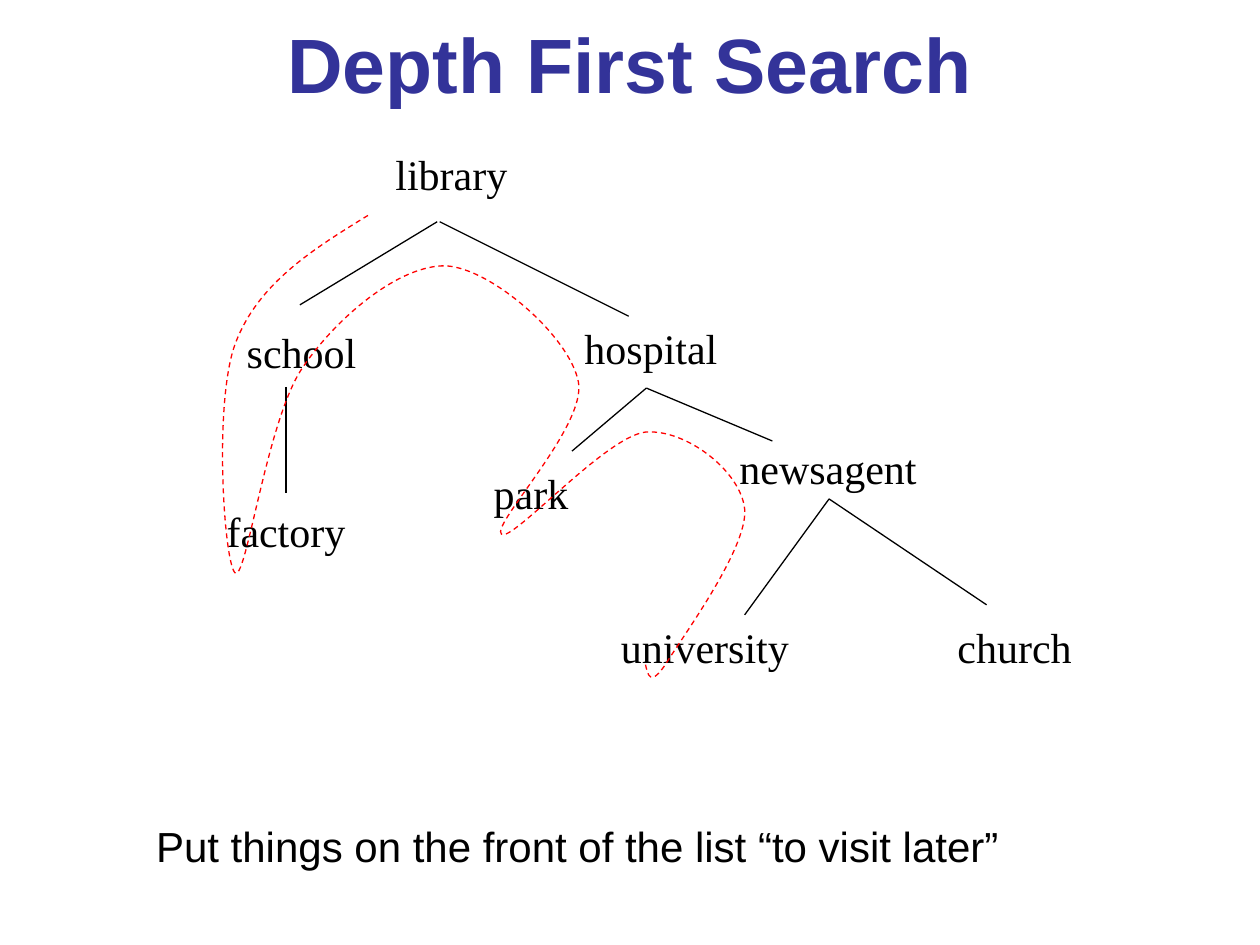
from lxml import etree
from pptx import Presentation
from pptx.dml.color import RGBColor
from pptx.enum.dml import MSO_LINE
from pptx.enum.shapes import MSO_CONNECTOR
from pptx.enum.text import MSO_ANCHOR, MSO_AUTO_SIZE, PP_ALIGN
from pptx.oxml.ns import qn
from pptx.util import Inches, Pt

STRAIGHT = MSO_CONNECTOR.STRAIGHT
DASH = MSO_LINE.DASH
MIDDLE, CENTER = MSO_ANCHOR.MIDDLE, PP_ALIGN.CENTER
FIT_SHAPE, FIXED_SIZE = MSO_AUTO_SIZE.SHAPE_TO_FIT_TEXT, MSO_AUTO_SIZE.NONE
BOTTOM_SITE = 2

NAVY = RGBColor(0x33, 0x33, 0x99)
BLACK = RGBColor(0x00, 0x00, 0x00)
RED = RGBColor(0xFF, 0x00, 0x00)

TITLE = "Depth First Search"
NOTE = "Put things on the front of the list “to visit later”"
TITLE_FONT = {"name": "Arial", "size": Pt(44), "bold": True}
NODE_FONT = {"name": "Times New Roman", "size": Pt(24)}
NOTE_FONT = {"name": "Arial", "size": Pt(24)}
LINE_WIDTH = Pt(0.75)
ROW_HEIGHT = 0.5

# Place name: left, top, width (wide enough to hold the name on one line)
NODES = {
    "library": (3.04, 1.13, 1.11),
    "school": (1.86, 2.54, 1.09),
    "hospital": (4.54, 2.51, 1.27),
    "factory": (1.7, 3.96, 1.16),
    "park": (3.82, 3.66, 0.81),
    "newsagent": (5.77, 3.46, 1.62),
    "university": (4.83, 4.88, 1.55),
    "church": (7.5, 4.88, 1.12),
}

# Parent, start of branch, end of branch
BRANCHES = [
    ("library", (3.47, 1.76), (2.38, 2.42)),
    ("library", (3.49, 1.76), (4.99, 2.51)),
    ("school", (2.27, 3.07), (2.27, 3.91)),
    ("hospital", (5.13, 3.08), (4.54, 3.58)),
    ("hospital", (5.13, 3.08), (6.13, 3.5)),
    ("newsagent", (6.58, 3.96), (5.91, 4.88)),
    ("newsagent", (6.58, 3.96), (7.83, 4.8)),
]
JOINED_PARENTS = {"newsagent"}  # branches start at the middle of its lower side

# Search route: start, then two control points and an end for each curve
ROUTE_START = (2.92, 1.71)
ROUTE_CURVES = [
    ((2.48, 1.98), (2.05, 2.25), (1.87, 2.72)),
    ((1.69, 3.19), (1.78, 4.51), (1.87, 4.55)),
    ((1.96, 4.58), (2.12, 3.33), (2.4, 2.92)),
    ((2.67, 2.52), (3.17, 2.1), (3.54, 2.11)),
    ((3.9, 2.13), (4.52, 2.67), (4.59, 3.03)),
    ((4.66, 3.38), (3.89, 4.17), (3.98, 4.24)),
    ((4.06, 4.31), (4.8, 3.47), (5.12, 3.43)),
    ((5.44, 3.4), (5.88, 3.74), (5.91, 4.04)),
    ((5.94, 4.34), (5.42, 5.05), (5.29, 5.26)),
    ((5.16, 5.46), (5.14, 5.36), (5.12, 5.26)),
]


def inches(values):
    return [Inches(value) for value in values]


def add_text(slide, text, box, font, color=BLACK, wrap=True):
    label = slide.shapes.add_textbox(*inches(box))
    frame = label.text_frame
    frame.word_wrap = wrap
    frame.auto_size = FIT_SHAPE
    run = frame.paragraphs[0].add_run()
    run.text = text
    for key, value in font.items():
        setattr(run.font, key, value)
    run.font.color.rgb = color
    return label


def add_branch(slide, start, end, parent=None):
    branch = slide.shapes.add_connector(STRAIGHT, *inches(start + end))
    if parent is not None:
        branch.begin_connect(parent, BOTTOM_SITE)
    branch.line.color.rgb = BLACK
    branch.line.width = LINE_WIDTH
    etree.SubElement(branch._element.spPr, qn("a:effectLst"))


def add_route(slide, start, curves):
    builder = slide.shapes.build_freeform(*inches(start))
    points = [inches(point) for curve in curves for point in curve]
    builder.add_line_segments(points, close=False)
    route = builder.convert_to_shape()

    # Turn each three line segments into one Bézier curve
    outline = route._element.spPr.find(".//" + qn("a:path"))
    segments = outline.findall(qn("a:lnTo"))
    for i in range(0, len(segments), 3):
        curve = etree.SubElement(outline, qn("a:cubicBezTo"))
        for segment in segments[i:i + 3]:
            curve.append(segment[0])
            outline.remove(segment)

    route.shadow.inherit = False
    route.fill.background()
    route.line.color.rgb = RED
    route.line.width = LINE_WIDTH
    route.line.dash_style = DASH


def main():
    prs = Presentation()
    prs.slide_width, prs.slide_height = Inches(10), Inches(7.5)
    slide = prs.slides.add_slide(prs.slide_layouts[6])

    # Title
    title = add_text(slide, TITLE, (0.5, 0, 9, 1), TITLE_FONT, NAVY)
    title.text_frame.auto_size = FIXED_SIZE
    title.text_frame.vertical_anchor = MIDDLE
    title.text_frame.paragraphs[0].alignment = CENTER

    # Tree
    places = {
        name: add_text(slide, name, box + (ROW_HEIGHT,), NODE_FONT, wrap=False)
        for name, box in NODES.items()
    }
    for parent, start, end in BRANCHES:
        joined = places[parent] if parent in JOINED_PARENTS else None
        add_branch(slide, start, end, joined)

    # Search route and note
    add_route(slide, ROUTE_START, ROUTE_CURVES)
    add_text(slide, NOTE, (1.14, 6.46, 7.38, ROW_HEIGHT), NOTE_FONT)

    prs.save("out.pptx")


if __name__ == "__main__":
    main()
